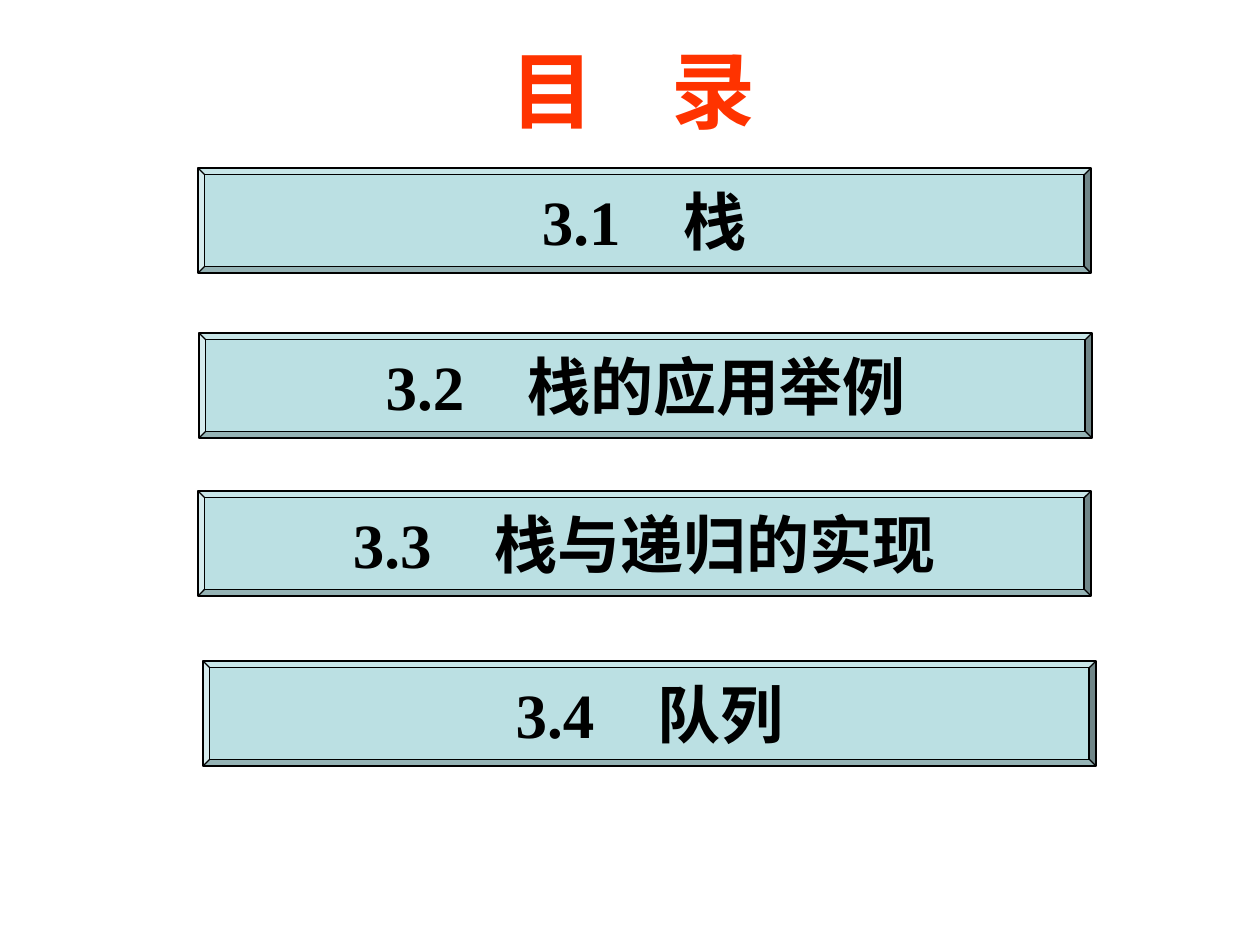
from pptx import Presentation
from pptx.dml.color import RGBColor
from pptx.enum.shapes import MSO_SHAPE
from pptx.enum.text import MSO_ANCHOR, PP_ALIGN
from pptx.util import Pt

PX = 914400 / 126


def px(length):
    """Turn a length in px into EMU."""
    return round(length * PX)


def add_spaced_text(paragraph, before, after, gap, color, formats):
    """Write two words parted by one space that is widened by gap points."""
    for text in (before, " ", after):
        run = paragraph.add_run()
        run.text = text
        for name, value in formats.items():
            setattr(run.font, name, value)
        run.font.color.rgb = RGBColor.from_string(color)
        if text == " ":
            run._r.get_or_add_rPr().set("spc", str(gap * 100))


prs = Presentation()
prs.slide_width, prs.slide_height = px(1260), px(945)
slide = prs.slides.add_slide(prs.slide_layouts[5])

heading = slide.shapes.title
heading.left, heading.top, heading.width, heading.height = px(431), px(32), px(388), px(113)
heading_frame = heading.text_frame
heading_frame.word_wrap = True
heading_frame.vertical_anchor = MSO_ANCHOR.MIDDLE
heading_frame.margin_left = px(80)
heading_line = heading_frame.paragraphs[0]
heading_line.alignment = PP_ALIGN.LEFT
add_spaced_text(heading_line, "目", "录", 33, "FF3300",
                {"name": "Times New Roman", "size": Pt(48), "bold": True})

chapters = [
    ("3.1", "栈", 198, 168),
    ("3.2", "栈的应用举例", 199, 333),
    ("3.3", "栈与递归的实现", 198, 491),
    ("3.4", "队列", 203, 661),
]
for number, topic, left, top in chapters:
    bar = slide.shapes.add_shape(MSO_SHAPE.BEVEL, px(left), px(top), px(893), px(105))
    bar.adjustments[0] = 0.065
    bar.shadow.inherit = False
    bar.fill.solid()
    bar.fill.fore_color.rgb = RGBColor.from_string("BBE0E3")
    bar.line.color.rgb = RGBColor.from_string("000000")
    bar.line.width = Pt(0.75)
    bar_frame = bar.text_frame
    bar_frame.word_wrap = False
    bar_frame.vertical_anchor = MSO_ANCHOR.MIDDLE
    bar_line = bar_frame.paragraphs[0]
    bar_line.alignment = PP_ALIGN.CENTER
    add_spaced_text(bar_line, number, topic, 27, "000000",
                    {"name": "Times New Roman", "size": Pt(36), "bold": True})

prs.save("out.pptx")
